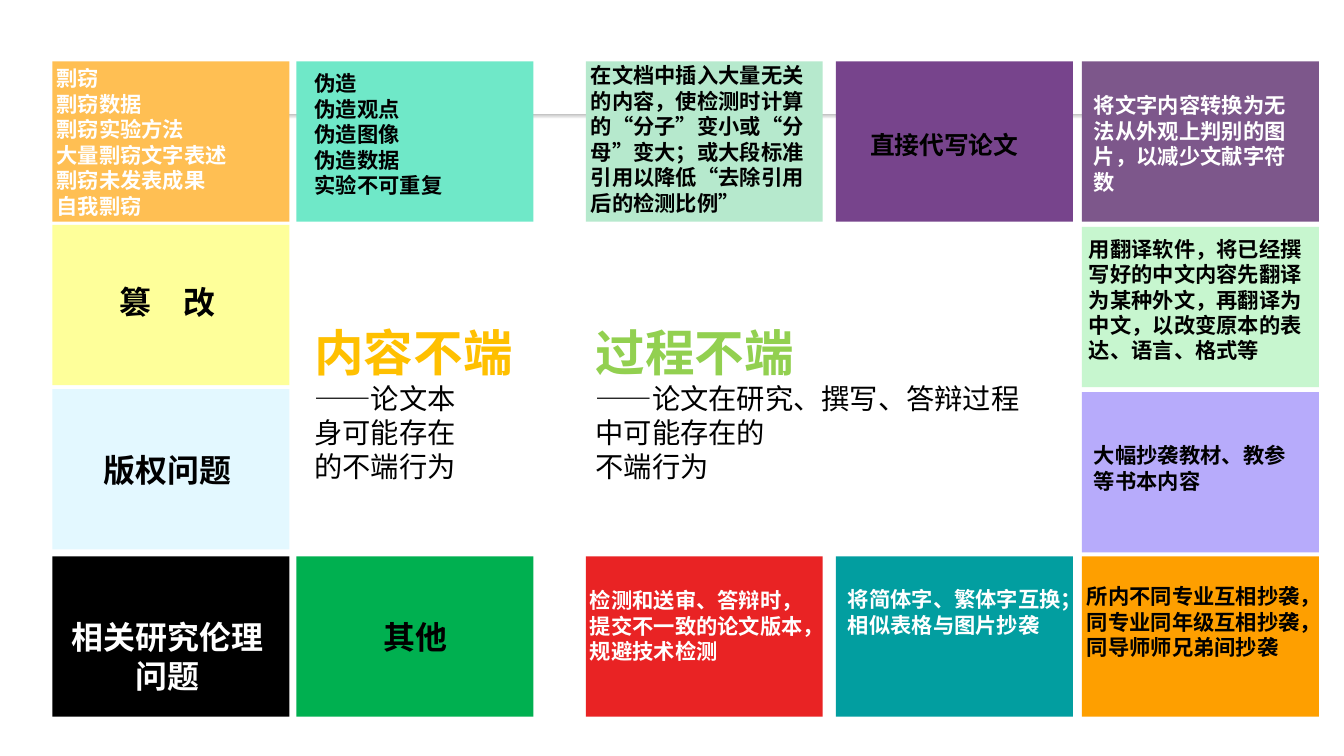
from pptx import Presentation
from pptx import util as u
from pptx.dml.color import RGBColor
from pptx.enum import lang, shapes, text

INK = {
    "black": "000000", "white": "FFFFFF", "grey": "BFBFBF",
    "amber": "FFBF53", "mint": "6FE8C8", "sage": "B6E9CD",
    "purple": "77448C", "plum": "7D578B", "lemon": "FEFF9A",
    "ice": "E3F8FF", "pale": "C7F6CF", "lilac": "B7ABFB",
    "green": "00B050", "red": "E92324", "teal": "029EA0",
    "orange": "FE9F00", "gold": "FFC000", "lime": "92D050",
}
COLS = [0.52, 2.94, 5.81, 8.29, 10.73]
TOP, LOW = 0.61, 5.52
WIDE, HIGH = 2.35, 1.59
NOTE, WORK, HEAD, LEAD, BODY = 15.2, 17.7, 22.8, 35.4, 20.2

# column, top, fill, text box, size, ink, paragraphs
TILES = [
    (0, TOP, "amber", (0.56, 0.65, 2.26, 1.49), NOTE, "white",
     ["剽窃", "剽窃数据", "剽窃实验方法", "大量剽窃文字表述",
      "剽窃未发表成果", "自我剽窃"]),
    (1, TOP, "mint", (3.12, 0.7, 2, 1.24), NOTE, "black",
     ["伪造", "伪造观点", "伪造图像", "伪造数据", "实验不可重复"]),
    (2, TOP, "sage", (5.86, 0.62, 2.26, 1.49), NOTE, "black",
     ["在文档中插入大量无关的内容，使检测时计算的“分子”变小或“分母”变大；"
      "或大段标准引用以降低“去除引用后的检测比例”"]),
    (3, TOP, "purple", (8.63, 1.29, 1.68, 0.29), WORK, "black",
     ["直接代写论文"]),
    (4, TOP, "plum", (10.85, 0.92, 2.09, 0.74), NOTE, "white",
     ["将文字内容转换为无法从外观上判别的图片，以减少文献字符数"]),
    (0, 2.23, "lemon", (0.66, 2.8, 2, 0.37), HEAD, "black", ["篡　改"]),
    (4, 2.25, "pale", (10.8, 2.34, 2.23, 1.24), NOTE, "black",
     ["用翻译软件，将已经撰写好的中文内容先翻译为某种外文，"
      "再翻译为中文，以改变原本的表达、语言、格式等"]),
    (0, 3.86, "ice", (0.66, 4.47, 2, 0.37), HEAD, "black", ["版权问题"]),
    (4, 3.89, "lilac", (10.85, 4.39, 2.03, 0.5), NOTE, "black",
     ["大幅抄袭教材、教参等书本内容"]),
    (0, LOW, "black", (0.66, 6.13, 2, 0.74), HEAD, "white",
     ["相关研究伦理问题"]),
    (1, LOW, "green", (3.12, 6.13, 2, 0.37), HEAD, "black", ["其他"]),
    (2, LOW, "red", (5.85, 5.83, 2.25, 0.74), NOTE, "white",
     ["检测和送审、答辩时，提交不一致的论文版本，规避技术检测"]),
    (3, LOW, "teal", (8.41, 5.82, 2.13, 0.5), NOTE, "white",
     ["将简体字、繁体字互换；", "相似表格与图片抄袭"]),
    (4, LOW, "orange", (10.78, 5.79, 2.2, 0.74), NOTE, "black",
     ["所内不同专业互相抄袭，同专业同年级互相抄袭，同导师师兄弟间抄袭"]),
]

# text box, ink, title, lines
TOPICS = [
    ((3.02, 2.35, 2.29, 3.28), "gold", "内容不端",
     ["——论文本", "身可能存在", "的不端行为"]),
    ((5.81, 2.35, 4.73, 3.28), "lime", "过程不端",
     ["——论文在研究、撰写、答辩过程", "中可能存在的", "不端行为"]),
]


class Board:
    face = "Noto Sans CJK SC"
    pitch = 1.2

    def __init__(self, slide):
        self.slide = slide

    def ink(self, name):
        return RGBColor.from_string(INK[name])

    def shape(self, kind, box):
        shape = self.slide.shapes.add_shape(kind, *map(u.Inches, box))
        shape.shadow.inherit = False
        shape.line.fill.background()
        return shape

    def rule(self, box):
        """Draw the thin bar that fades downwards."""
        bar = self.shape(shapes.MSO_SHAPE.ROUNDED_RECTANGLE, box)
        bar.adjustments[0] = 0.5
        bar.fill.gradient()
        bar.fill.gradient_angle = 270
        for stop, name in zip(bar.fill.gradient_stops, ("grey", "white")):
            stop.color.rgb = self.ink(name)

    def tile(self, box, fill):
        tile = self.shape(shapes.MSO_SHAPE.RECTANGLE, box)
        tile.fill.solid()
        tile.fill.fore_color.rgb = self.ink(fill)

    def frame(self, box, pad=(0, 0)):
        frame = self.slide.shapes.add_textbox(*map(u.Inches, box)).text_frame
        frame.word_wrap = True
        frame.margin_left = frame.margin_right = u.Inches(pad[0])
        frame.margin_top = frame.margin_bottom = u.Inches(pad[1])
        return frame

    def letter(self, frame, lines, size, ink, bold=True, align=None):
        """Add each line as a paragraph, starting with the empty first one."""
        for line in lines:
            para = frame.paragraphs[-1]
            if para.runs:
                para = frame.add_paragraph()
            para.alignment = align
            para.line_spacing = u.Pt(round(size * self.pitch, 1))
            run = para.add_run()
            run.text = line
            font = run.font
            font.size, font.bold, font.name = u.Pt(size), bold, self.face
            font.color.rgb = self.ink(ink)
            font.language_id = lang.MSO_LANGUAGE_ID.SIMPLIFIED_CHINESE
            east = run._r.rPr.makeelement(
                "{http://schemas.openxmlformats.org/drawingml/2006/main}ea",
                {"typeface": self.face})
            run._r.rPr.latin.addnext(east)


def main():
    deck = Presentation()
    deck.slide_width, deck.slide_height = u.Inches(13.33), u.Inches(7.5)
    board = Board(deck.slides.add_slide(deck.slide_layouts[6]))

    board.rule((1.25, 1.13, 10.84, 0.05))
    for col, top, fill, box, size, ink, lines in TILES:
        board.tile((COLS[col], top, WIDE, HIGH), fill)
        align = text.PP_ALIGN.CENTER if size == HEAD else text.PP_ALIGN.LEFT
        board.letter(board.frame(box), lines, size, ink, align=align)
    for box, ink, title, lines in TOPICS:
        frame = board.frame(box, pad=(0.1, 0.05))
        frame.vertical_anchor = text.MSO_ANCHOR.MIDDLE
        board.letter(frame, [title], LEAD, ink)
        board.letter(frame, lines, BODY, "black", bold=False)

    deck.save("out.pptx")


if __name__ == "__main__":
    main()
